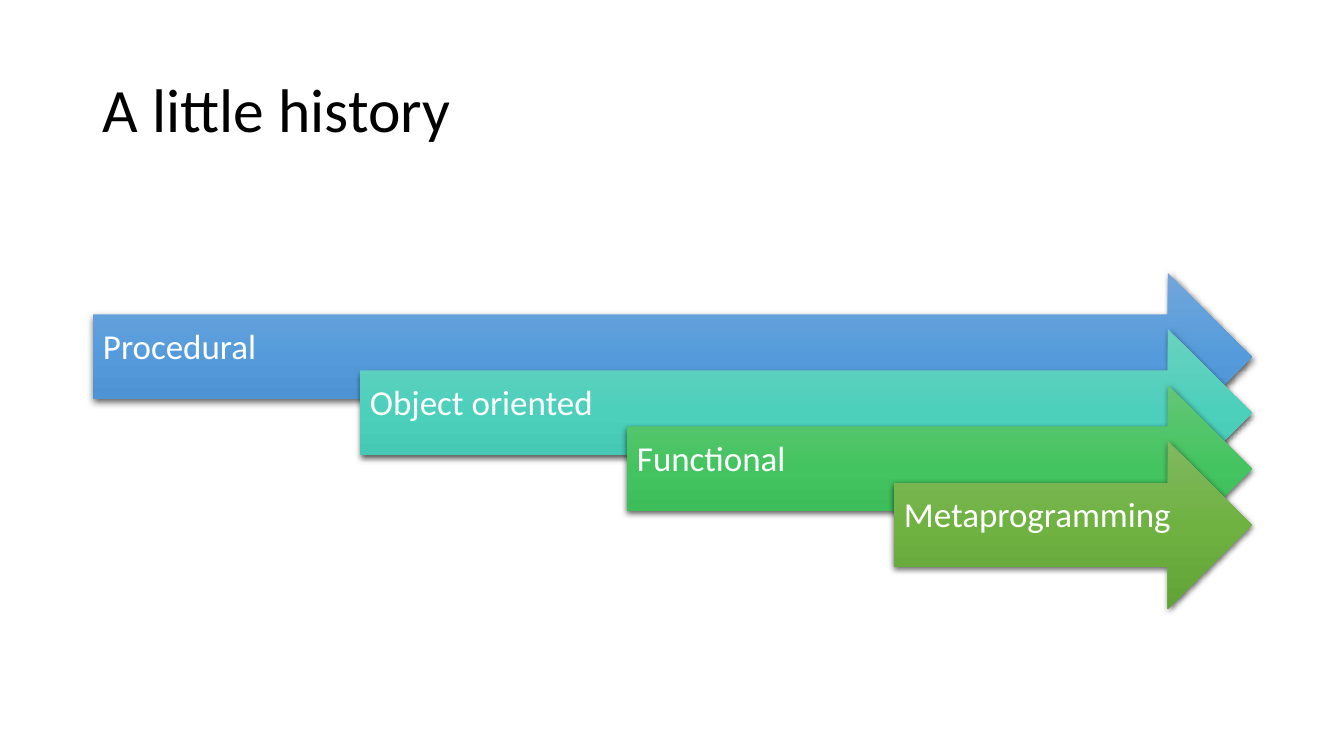
from lxml import etree
from pptx import Presentation
from pptx.dml.color import RGBColor
from pptx.enum.shapes import MSO_SHAPE
from pptx.enum.text import MSO_ANCHOR
from pptx.oxml.ns import qn
from pptx.util import Pt

ARROW = MSO_SHAPE.RIGHT_ARROW
MIDDLE = MSO_ANCHOR.MIDDLE

# Content: each style with its gradient, top to bottom
TITLE = "A little history"
STYLES = [
    ("Procedural", ("71A6DB", "559BDB", "448ACA")),
    ("Object oriented", ("6AD1C0", "4CD0BC", "3CC0AC")),
    ("Functional", ("64C677", "44C460", "36B552")),
    ("Metaprogramming", ("81B861", "6FB242", "62A336")),
]

THEME = {
    "font": "Calibri",
    "title": (44, "000000"),
    "label": (25, "FFFFFF"),
    "shadow": "000000",
}

# Layout in px
WIDTH, HEIGHT = 1344, 756
LEFT, RIGHT = 93, 1252
TITLE_TOP, TITLE_HIGH = 40, 146
TOP, HIGH = 273, 168
STEP_X, STEP_Y = 267, 56
HEAD = HIGH // 2


def px(num):
    return round(num * 914400 / 100.8)


def add_text(slide, text, box, look, pads):
    frame = slide.shapes.add_textbox(*map(px, box)).text_frame
    frame.word_wrap = True
    frame.vertical_anchor = MIDDLE
    (frame.margin_left, frame.margin_top,
     frame.margin_right, frame.margin_bottom) = map(px, pads)
    para = frame.paragraphs[0]
    para.text = text
    para.line_spacing = 0.9
    size, color = THEME[look]
    para.font.name = THEME["font"]
    para.font.size = Pt(size)
    para.font.color.rgb = RGBColor.from_string(color)


def add_color(parent, color):
    return etree.SubElement(parent, qn("a:srgbClr"), val=color)


def add_arrow(slide, box, colors):
    arrow = slide.shapes.add_shape(ARROW, *map(px, box))
    arrow.line.fill.background()

    # Three-stop gradient, running downwards
    arrow.fill.gradient()
    arrow.fill.gradient_angle = 270
    stops = arrow.fill._fill._gradFill.find(qn("a:gsLst"))
    for stop in list(stops):
        stops.remove(stop)
    for pos, color in zip((0, 50000, 100000), colors):
        add_color(etree.SubElement(stops, qn("a:gs"), pos=str(pos)), color)

    # Soft shadow below
    arrow.shadow.inherit = False
    effects = arrow._element.spPr.find(qn("a:effectLst"))
    shade = etree.SubElement(
        effects, qn("a:outerShdw"), blurRad=str(Pt(4.5)), dist=str(Pt(1.5)),
        dir="5400000", algn="ctr", rotWithShape="0")
    etree.SubElement(add_color(shade, THEME["shadow"]), qn("a:alpha"), val="63000")


def main():
    deck = Presentation()
    deck.slide_width, deck.slide_height = px(WIDTH), px(HEIGHT)
    slide = deck.slides.add_slide(deck.slide_layouts[6])

    # Title
    add_text(slide, TITLE, (LEFT, TITLE_TOP, RIGHT - LEFT, TITLE_HIGH),
             "title", (10, 5, 10, 5))

    # Staggered arrows that share one right edge
    for row, (name, colors) in enumerate(STYLES):
        left, top = LEFT + row * STEP_X, TOP + row * STEP_Y
        wide = RIGHT - left
        add_arrow(slide, (left, top, wide, HIGH), colors)
        add_text(slide, name, (left, top + HIGH // 4, wide - HEAD // 2, HIGH // 2),
                 "label", (10, 10, 28, 27))

    deck.save("out.pptx")


if __name__ == "__main__":
    main()
